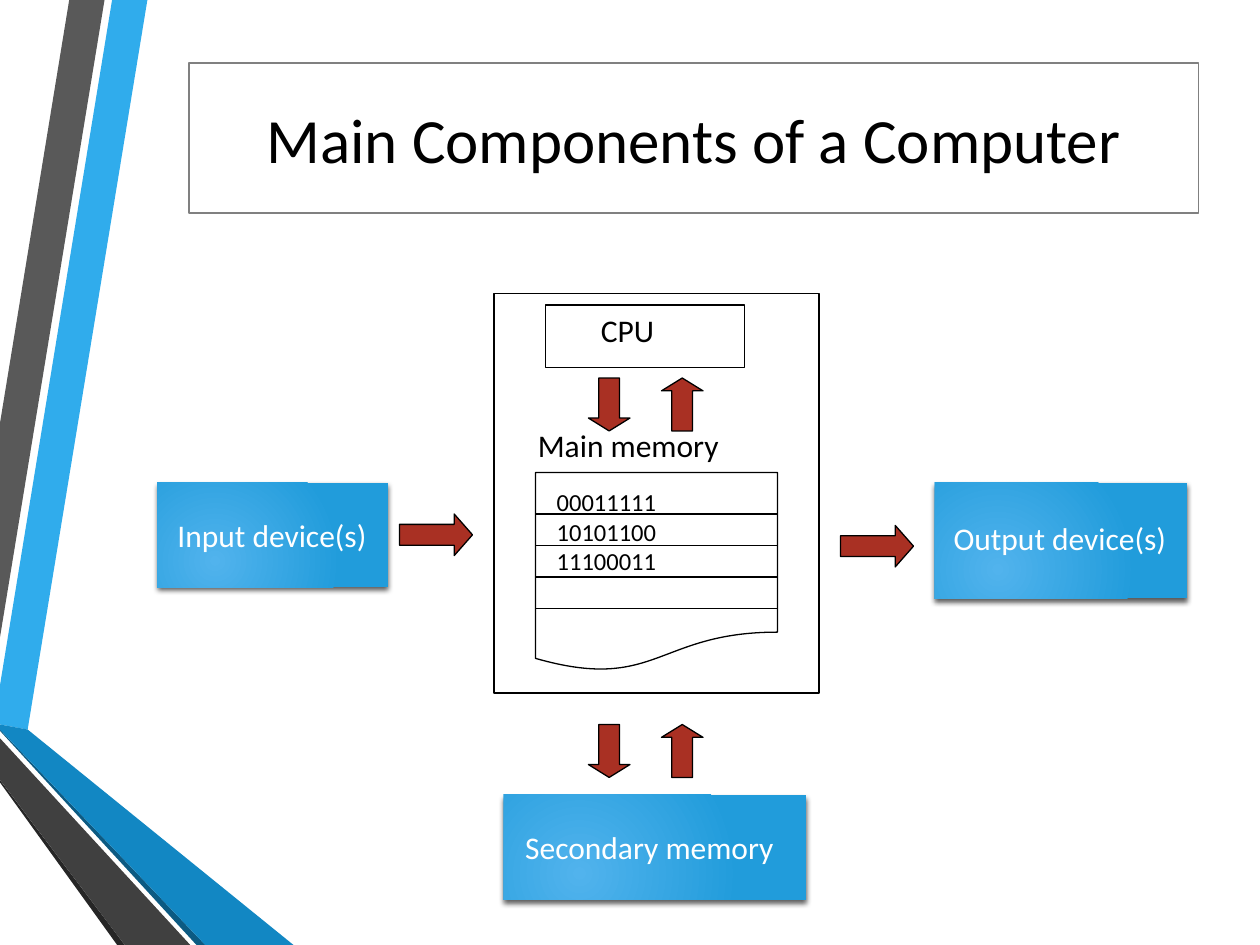
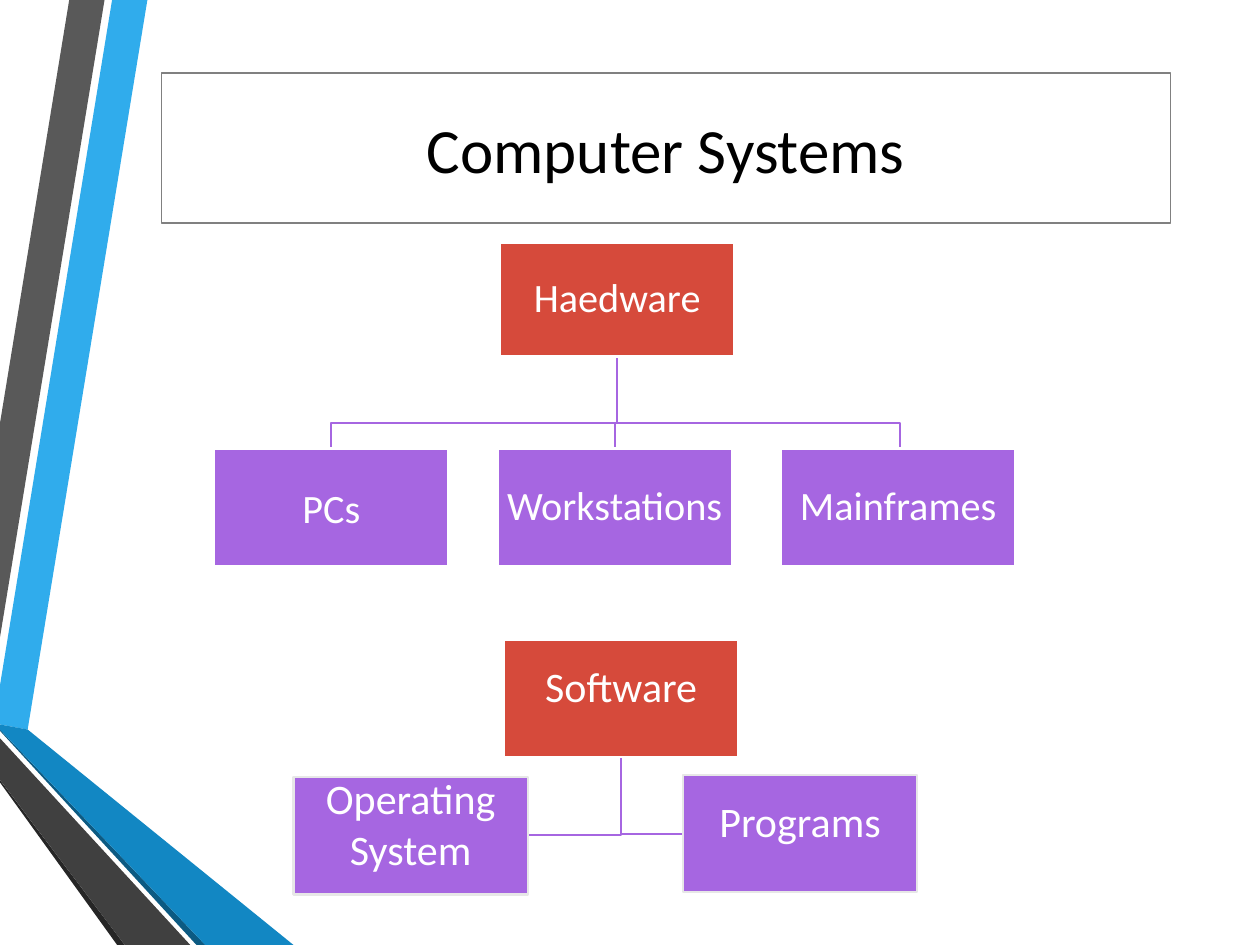
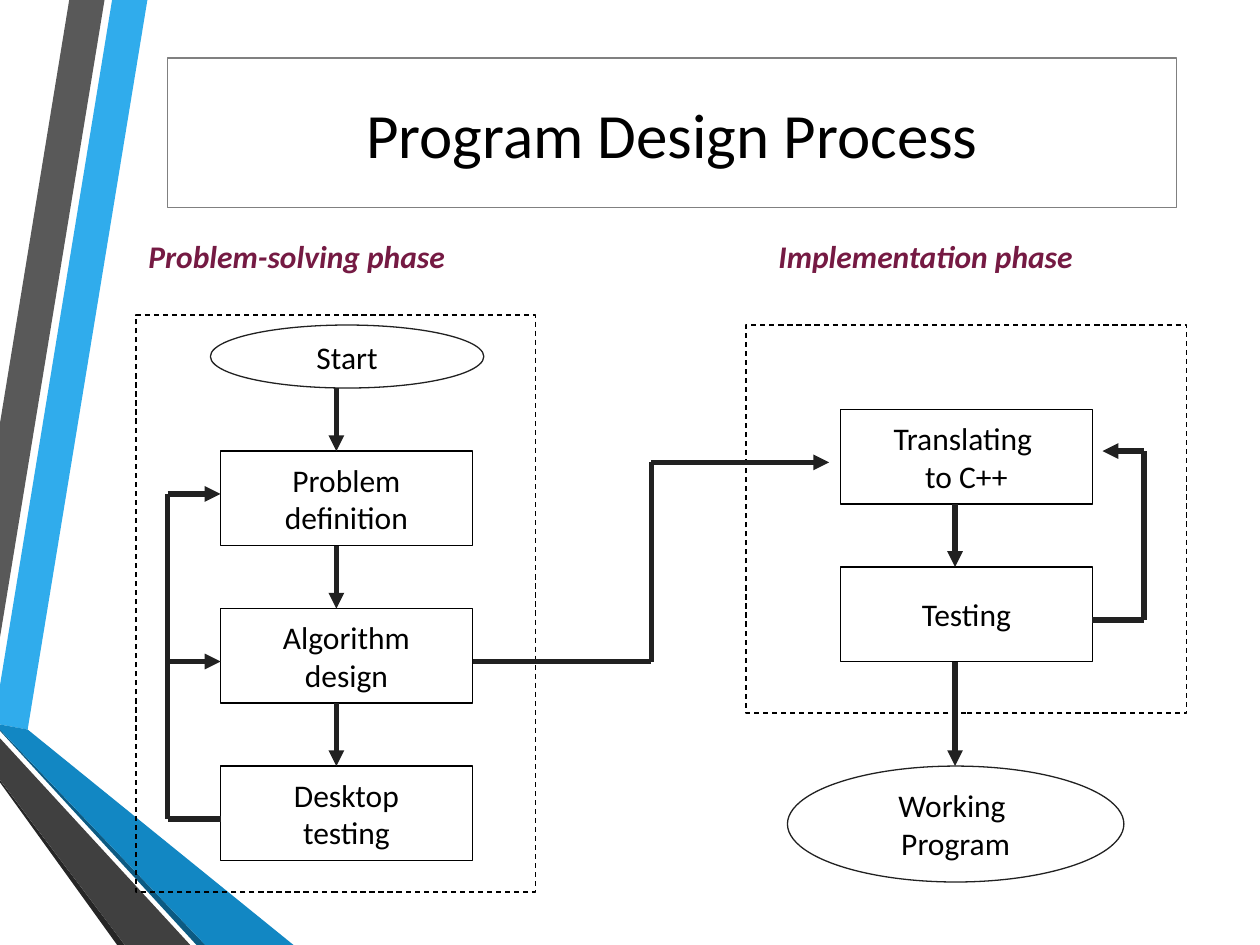
from lxml import etree
from pptx import Presentation
from pptx.dml.color import RGBColor
from pptx.enum.dml import MSO_LINE
from pptx.enum.shapes import MSO_CONNECTOR, MSO_SHAPE
from pptx.enum.text import MSO_ANCHOR, PP_ALIGN
from pptx.oxml.ns import qn
from pptx.util import Inches, Pt

RECT, OVAL = MSO_SHAPE.RECTANGLE, MSO_SHAPE.OVAL
PAGE = MSO_SHAPE.FLOWCHART_DOCUMENT
RIGHT, DOWN, UP = MSO_SHAPE.RIGHT_ARROW, MSO_SHAPE.DOWN_ARROW, MSO_SHAPE.UP_ARROW
STRAIGHT = MSO_CONNECTOR.STRAIGHT
DASH = MSO_LINE.DASH
TOP, MIDDLE = MSO_ANCHOR.TOP, MSO_ANCHOR.MIDDLE
LEFT, CENTER = PP_ALIGN.LEFT, PP_ALIGN.CENTER

BLACK = RGBColor(0x00, 0x00, 0x00)
WHITE = RGBColor(0xFF, 0xFF, 0xFF)
GRAY = RGBColor(0x80, 0x80, 0x80)
PALE = RGBColor(0xE7, 0xE7, 0xE7)
INK = RGBColor(0x21, 0x21, 0x21)
BRICK = RGBColor(0xA9, 0x30, 0x23)
RED = RGBColor(0xD6, 0x4A, 0x3B)
PURPLE = RGBColor(0xA6, 0x66, 0xE1)
WINE = RGBColor(0x75, 0x1A, 0x43)
GLOW = RGBColor(0x51, 0xB3, 0xED)
BLUE = RGBColor(0x21, 0x9C, 0xDB)
FONT = "Calibri"

BANDS = [
    (RGBColor(0x30, 0xAC, 0xEC),
     [(0, 5.44), (0, 5.75), (0.22, 5.79), (1.17, 0), (0.89, 0)]),
    (RGBColor(0x59, 0x59, 0x59), [(0.83, 0), (0.55, 0), (0, 3.36), (0, 5.06)]),
    (RGBColor(0x26, 0x26, 0x26), [(0, 6.19), (0, 6.21), (0.93, 7.5), (0.99, 7.5)]),
    (RGBColor(0x0C, 0x5A, 0x82), [(0, 5.79), (0, 5.8), (1.56, 7.5), (1.63, 7.5)]),
    (RGBColor(0x12, 0x87, 0xC3),
     [(0, 5.79), (1.63, 7.5), (2.33, 7.5), (0.22, 5.79), (0, 5.75)]),
    (RGBColor(0x40, 0x40, 0x40), [(0, 6.19), (0.99, 7.5), (1.51, 7.5), (0, 5.86)]),
]

# Main components: device box, then label place and wording
DEVICES = [
    ((4, 6.31, 2.4, 0.83), (4.07, 6.52, 2.33, 0.4), "Secondary memory"),
    ((7.42, 3.83, 2, 0.92), (7.47, 4.07, 2, 0.4), "Output device(s)"),
    ((1.25, 3.83, 1.83, 0.83), (1.31, 4.05, 1.88, 0.4), "Input device(s)"),
]
PARTS = [
    (RECT, (4.33, 2.42, 1.58, 0.5)),
    (PAGE, (4.25, 3.75, 1.92, 1.58)),
    (RECT, (3.92, 2.33, 2.58, 3.17)),
]
LABELS = [
    ((4.67, 2.42, 0.92, 0.5), "CPU", 18),
    ((4.17, 3.33, 2.42, 0.5), "Main memory", 18),
    ((4.32, 3.82, 1.6, 0.8), "00011111\n10101100\n11100011", 14),
]
FLOWS = [(RIGHT, 3.17, 4.08), (RIGHT, 6.67, 4.17)] + [
    (kind, x, y) for y in (3, 5.75) for kind, x in ((DOWN, 4.67), (UP, 5.25))]

# Computer systems: corners of each link, then the boxes
FORKS = [[(4.9, 2.83), (4.9, 3.36), (x, 3.36), (x, 3.56)]
         for x in (7.14, 4.88, 2.63)]
FORKS += [[(4.93, 6.01), (4.93, y), (x, y)] for x, y in ((5.42, 6.62), (4.19, 6.63))]
HARD = dict(size=23, spacing=0.9)
SOFT = dict(size=24, foot=0.22)
UNITS = [
    ("Software", 4, 5.08, 0.93, RED, WHITE, SOFT),
    ("Operating System", 2.33, 6.17, 0.93, PURPLE, PALE, SOFT),
    ("Programs", 5.42, 6.15, 0.93, PURPLE, PALE, SOFT),
    ("Haedware", 3.97, 1.93, 0.9, RED, WHITE, HARD),
    ("PCs", 1.7, 3.56, 0.93, PURPLE, WHITE, dict(size=23)),
    ("Workstations", 3.95, 3.56, 0.93, PURPLE, WHITE, HARD),
    ("Mainframes", 6.2, 3.56, 0.93, PURPLE, WHITE, HARD),
]

# Program design: phases, steps, then routes that may end in an arrow
PHASES = [
    ("Problem-solving phase", (1.08, 1.83, 3.5, 0.4), (1.08, 2.5, 3.17, 4.58)),
    ("Implementation phase", (6.08, 1.83, 3.58, 0.4), (5.92, 2.58, 3.5, 3.08)),
]
STEPS = [
    ("Start", OVAL, (1.67, 2.58, 2.17, 0.5)),
    ("Problem\ndefinition", RECT, (1.75, 3.58, 2, 0.75)),
    ("Algorithm\ndesign", RECT, (1.75, 4.83, 2, 0.75)),
    ("Desktop\ntesting", RECT, (1.75, 6.08, 2, 0.75)),
    ("Translating \nto C++", RECT, (6.67, 3.25, 2, 0.75)),
    ("Testing", RECT, (6.67, 4.5, 2, 0.75)),
    ("Working \nProgram", OVAL, (6.25, 6.08, 2.67, 0.92)),
]
ROUTES = [[(2.67, y), (2.67, y + 0.5)] for y in (3.08, 4.33, 5.58)] + [
    [(1.75, 6.5), (1.33, 6.5), (1.33, 3.92), (1.75, 3.92)],
    [(1.33, 5.25), (1.75, 5.25)],
    [(3.75, 5.25), (5.17, 5.25), (5.17, 3.67), (6.58, 3.67)],
    [(8.67, 4.92), (9.08, 4.92), (9.08, 3.58), (8.75, 3.58)],
    [(7.58, 4), (7.58, 4.5)],
    [(7.58, 5.25), (7.58, 6.08)],
]


def inch(nums):
    return [Inches(n) for n in nums]


def paint(shape, fill=None, line=None, width=0.75, dash=None):
    shape.shadow.inherit = False
    if fill is None:
        shape.fill.background()
    else:
        shape.fill.solid()
        shape.fill.fore_color.rgb = fill
    if line is None:
        shape.line.fill.background()
    else:
        shape.line.color.rgb = line
        shape.line.width = Pt(width)
    if dash:
        shape.line.dash_style = dash


def write(shape, text, size=18, color=BLACK, align=CENTER, anchor=MIDDLE,
          wrap=True, spacing=None, inset=None, foot=None, **look):
    frame = shape.text_frame
    frame.text = text
    frame.word_wrap = wrap
    frame.vertical_anchor = anchor
    if inset is not None:
        for side in ("left", "top", "right", "bottom"):
            setattr(frame, "margin_" + side, Inches(inset))
    if foot is not None:
        frame.margin_bottom = Inches(foot)
    style = dict(name=FONT, size=Pt(size), **look)
    for para in frame.paragraphs:
        para.alignment = align
        if spacing:
            para.line_spacing = spacing
        for run in para.runs:
            run.font.color.rgb = color
            for key, val in style.items():
                setattr(run.font, key, val)


def draw(slide, kind, at, **look):
    shape = slide.shapes.add_shape(kind, *inch(at))
    paint(shape, **look)
    return shape


def label(slide, at, text, **look):
    write(slide.shapes.add_textbox(*inch(at)), text, align=LEFT, anchor=TOP, **look)


def trace(shapes, points, close):
    """Build a freeform through points given in inches."""
    first, *rest = [inch(p) for p in points]
    pen = shapes.build_freeform(*first)
    pen.add_line_segments(rest, close=close)
    return pen.convert_to_shape()


def rule(slide, start, end, color, width, arrow=False):
    line = slide.shapes.add_connector(STRAIGHT, *inch(start + end))
    line.line.color.rgb = color
    line.line.width = Pt(width)
    props = line._element.spPr
    if arrow:
        etree.SubElement(props.find(qn("a:ln")), qn("a:tailEnd"), type="triangle")
    etree.SubElement(props, qn("a:effectLst"))


def shine(shape):
    """Give a shape the radial blue fill and the soft shadow below it."""
    shape.fill.gradient()
    for stop, color in zip(shape.fill.gradient_stops, (GLOW, BLUE)):
        stop.color.rgb = color
    props = shape._element.spPr
    grad = props.find(qn("a:gradFill"))
    grad.remove(grad.find(qn("a:lin")))
    ring = etree.SubElement(grad, qn("a:path"), path="circle")
    etree.SubElement(ring, qn("a:fillToRect"),
                     l="50000", t="100000", r="100000", b="50000")
    cast = etree.SubElement(props.find(qn("a:effectLst")), qn("a:outerShdw"),
                            blurRad=str(Pt(3)), dist=str(Pt(2)), dir="5400000",
                            rotWithShape="0")
    tint = etree.SubElement(cast, qn("a:srgbClr"), val="000000")
    etree.SubElement(tint, qn("a:alpha"), val="64000")


def start(deck, title, left, top):
    """Add a slide with the side bands and the framed title."""
    slide = deck.slides.add_slide(deck.slide_layouts[6])
    group = slide.shapes.add_group_shape()
    for color, points in BANDS:
        paint(trace(group.shapes, points, True), fill=color)
    frame = draw(slide, RECT, (left, top, 8.01, 1.19), fill=WHITE, line=GRAY)
    write(frame, title, size=36)
    return slide


def parts(deck):
    slide = start(deck, "Main Components of a Computer", 1.5, 0.5)
    for at, place, text in DEVICES:
        shine(draw(slide, RECT, at))
        label(slide, place, text, color=WHITE)
    for kind, at in PARTS:
        draw(slide, kind, at, line=BLACK)
    for row in range(4):
        y = 4.08 + 0.25 * row
        rule(slide, (4.25, y), (6.17, y), BLACK, 0.75)
    for kind, x, y in FLOWS:
        size, head = ((0.58, 0.33), 0.44) if kind == RIGHT else ((0.33, 0.42), 0.31)
        arrow = draw(slide, kind, (x, y) + size, fill=BRICK, line=BLACK)
        arrow.adjustments[1] = head
    for at, text, size in LABELS:
        label(slide, at, text, size=size)


def systems(deck):
    slide = start(deck, "Computer Systems", 1.28, 0.58)
    for points in FORKS:
        paint(trace(slide.shapes, points, False), line=PURPLE, width=1.25)
    for text, x, y, high, fill, line, look in UNITS:
        unit = draw(slide, RECT, (x, y, 1.86, high), fill=fill, line=line, width=1.25)
        write(unit, text, color=WHITE, inset=0.02, **look)


def design(deck):
    slide = start(deck, "Program Design Process", 1.33, 0.46)
    for text, place, at in PHASES:
        label(slide, place, text, color=WINE, bold=True, italic=True)
        draw(slide, RECT, at, line=BLACK, dash=DASH)
    for text, kind, at in STEPS:
        step = draw(slide, kind, at, line=INK if kind == OVAL else BLACK)
        write(step, text, wrap=False)
    for route in ROUTES:
        for a, b in zip(route, route[1:]):
            rule(slide, a, b, INK, 3, arrow=b == route[-1])


def main():
    deck = Presentation()
    deck.slide_width, deck.slide_height = Inches(10), Inches(7.5)
    for build in (parts, systems, design):
        build(deck)
    deck.save("out.pptx")


if __name__ == "__main__":
    main()
